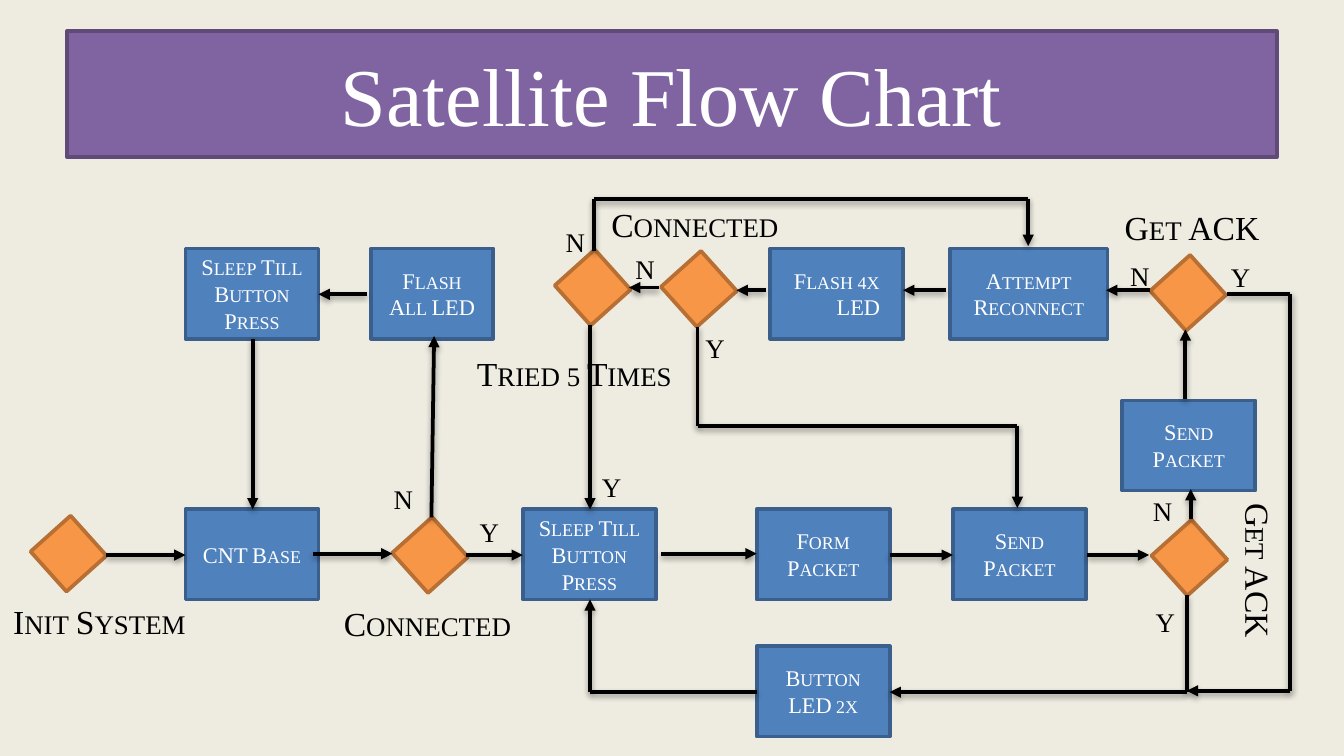
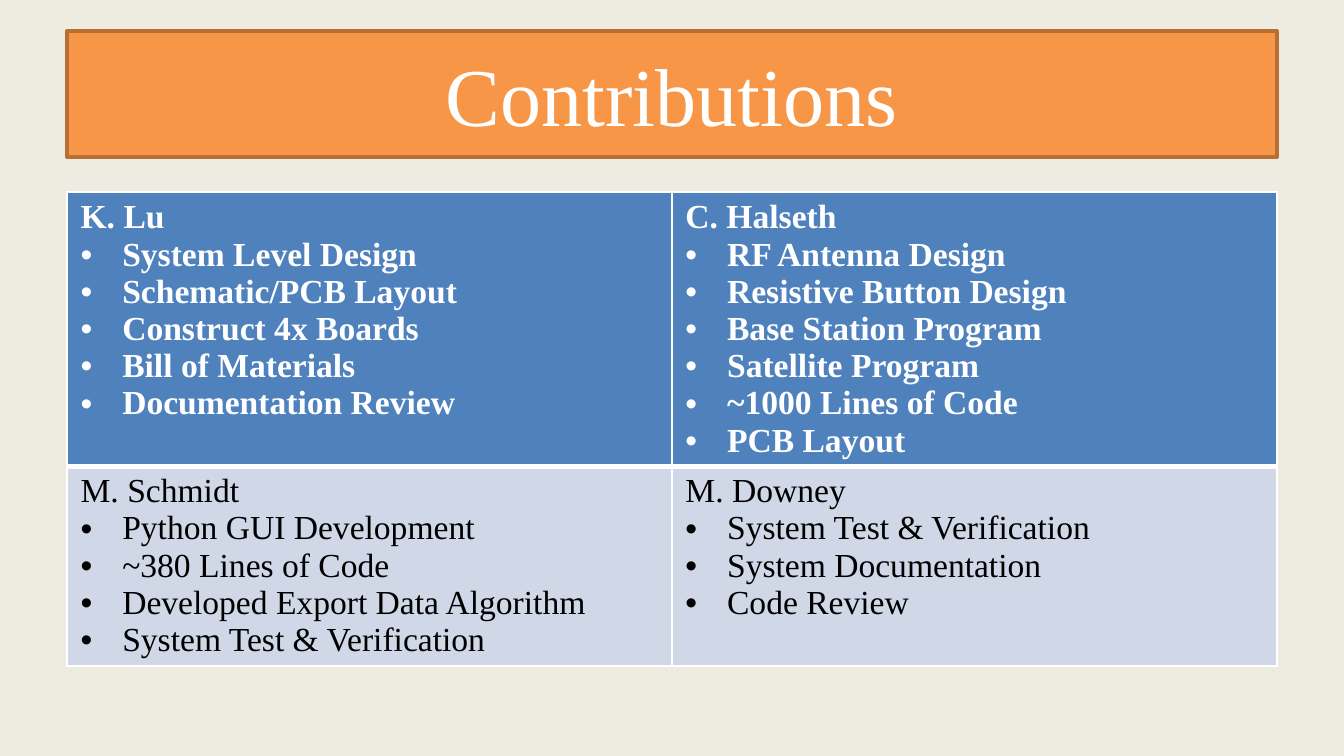
"""Build the satellite flow chart and contributions slides."""
from dataclasses import dataclass
from itertools import pairwise

from pptx import Presentation
from pptx.dml.color import RGBColor as RGB
from pptx.enum.shapes import MSO_CONNECTOR as CONN, MSO_SHAPE as SHAPE
from pptx.enum.text import MSO_ANCHOR as ANCHOR, MSO_AUTO_SIZE as AUTO, PP_ALIGN as ALIGN
from pptx.oxml import parse_xml
from pptx.oxml.ns import nsdecls
from pptx.util import Emu, Pt

PX = 9144


def px(n):
    """Turn px (100 to the inch) into EMU."""
    return Emu(n * PX)


@dataclass(frozen=True)
class Theme:
    """Colours, font and sizes shared by the slides."""
    font: str = "Times New Roman"
    bg: str = "EEECE1"
    ink: str = "000000"
    white: str = "FFFFFF"
    pale: str = "D0D8E8"
    blue: tuple = ("4F81BD", "3A5F8C")
    orange: tuple = ("F79646", "B76F34")
    purple: tuple = ("8064A2", "5F4A78")
    title_pt: int = 44
    body_pt: int = 18
    box_pt: int = 12
    line_pt: int = 2


class Deck:
    """Holds the theme and the current slide, and draws each kind of element."""

    def __init__(self, theme):
        """Start an empty 16:9 presentation."""
        self.theme = theme
        self.prs = Presentation()
        self.prs.slide_width = px(1000)
        self.prs.slide_height = px(1000) * 9 // 16
        fill = self.prs.slide_master.background.fill
        fill.solid()
        fill.fore_color.rgb = RGB.from_string(theme.bg)

    def paint(self, sp, colours):
        """Give a shape its fill and outline colours."""
        fill, line = map(RGB.from_string, colours)
        sp.fill.solid()
        sp.fill.fore_color.rgb = fill
        sp.line.color.rgb = line
        sp.line.width = Pt(self.theme.line_pt)

    def style(self, tf, size, colour, align=ALIGN.LEFT, bold=False, small=False):
        """Format every paragraph and run of a text frame."""
        for p in tf.paragraphs:
            p.alignment = align
            for r in p.runs:
                r.font.name, r.font.size, r.font.bold = self.theme.font, Pt(size), bold
                r.font.color.rgb = RGB.from_string(colour)
                if small:
                    r.font._element.set("cap", "small")

    def slide(self, title, colours):
        """Add a slide with its title band."""
        self.s = self.prs.slides.add_slide(self.prs.slide_layouts[5])
        sp = self.s.shapes.title
        sp.left, sp.top, sp.width, sp.height = map(px, (50, 23, 900, 94))
        self.paint(sp, colours)
        tf = sp.text_frame
        tf.text = title
        tf.vertical_anchor = ANCHOR.MIDDLE
        self.style(tf, self.theme.title_pt, self.theme.white, ALIGN.CENTER)

    def process(self, x, y, w, h, colours):
        """Add a flow chart process shape."""
        sp = self.s.shapes.add_shape(SHAPE.FLOWCHART_PROCESS, *map(px, (x, y, w, h)))
        sp.shadow.inherit = False
        self.paint(sp, colours)
        return sp

    def box(self, text, x, y, w=99):
        """Add a blue step with small-caps text."""
        tf = self.process(x, y, w, 67, self.theme.blue).text_frame
        tf.text = text
        tf.word_wrap = True
        tf.vertical_anchor = ANCHOR.MIDDLE
        self.style(tf, self.theme.box_pt, self.theme.white, ALIGN.CENTER, small=True)

    def decision(self, x, y):
        """Add an orange decision, a turned square."""
        self.process(x, y, 40, 40, self.theme.orange).rotation = 48.1

    def label(self, text, x, y, w, rotation=0):
        """Add an unwrapped small-caps label."""
        sp = self.s.shapes.add_textbox(*map(px, (x, y, w, 40)))
        sp.rotation = rotation
        tf = sp.text_frame
        tf.text = text
        tf.word_wrap = False
        tf.auto_size = AUTO.SHAPE_TO_FIT_TEXT
        self.style(tf, self.theme.body_pt, self.theme.ink, small=True)

    def route(self, *points):
        """Join points with straight connectors, with an arrowhead on the last."""
        for start, end in pairwise(points):
            cn = self.s.shapes.add_connector(CONN.STRAIGHT, *map(px, start + end))
            cn.line.color.rgb = RGB.from_string(self.theme.ink)
            cn.line.width = Pt(self.theme.line_pt)
            cn._element.spPr.append(parse_xml(
                f'<a:effectLst {nsdecls("a")}><a:outerShdw blurRad="40000" dist="20000" '
                f'dir="5400000" rotWithShape="0"><a:srgbClr val="{self.theme.ink}">'
                '<a:alpha val="38000"/></a:srgbClr></a:outerShdw></a:effectLst>'))
        cn.line._get_or_add_ln().append(
            parse_xml(f'<a:tailEnd {nsdecls("a")} type="triangle"/>'))

    def borders(self, cell, **widths):
        """Set white cell borders, with widths in points by side."""
        for side in "LRTB":
            cell._tc.get_or_add_tcPr().append(parse_xml(
                f'<a:ln{side} {nsdecls("a")} w="{Pt(widths.get(side, 1))}"><a:solidFill>'
                f'<a:srgbClr val="{self.theme.white}"/></a:solidFill></a:ln{side}>'))

    def bullet(self, p):
        """Give a paragraph a hanging bullet."""
        pPr = p._p.get_or_add_pPr()
        pPr.set("marL", str(px(31)))
        pPr.set("indent", str(-px(31)))
        pPr.append(parse_xml(f'<a:buFont {nsdecls("a")} typeface="Arial"/>'))
        pPr.append(parse_xml(f'<a:buChar {nsdecls("a")} char="•"/>'))

    def table(self, rows, x, y, w, heights):
        """Add a table whose cells hold a name and a bulleted list."""
        t = self.theme
        frame = self.s.shapes.add_table(
            len(rows), len(rows[0]), *map(px, (x, y, w, sum(heights))))
        tbl = frame.table
        tbl.horz_banding = False
        for i, row in enumerate(rows):
            tbl.rows[i].height = px(heights[i])
            head = i == 0
            for j, (name, *tasks) in enumerate(row):
                cell = tbl.cell(i, j)
                self.borders(cell, **({"B": 3} if head else {"T": 3}))
                cell.fill.solid()
                cell.fill.fore_color.rgb = RGB.from_string(t.blue[0] if head else t.pale)
                tf = cell.text_frame
                tf.text = "\n".join([name, *tasks])
                self.style(tf, t.body_pt, t.white if head else t.ink, bold=head)
                for p in tf.paragraphs[1:]:
                    self.bullet(p)


TOP, MAIN = 185, 379
BOXES = [
    ("Flash 4x LED", 573, TOP),
    ("Sleep Till Button Press", 389, MAIN),
    ("Flash All LED", 276, TOP, 91),
    ("Sleep Till Button Press", 138, TOP),
    ("Form Packet", 563, MAIN),
    ("CNT Base", 138, MAIN),
    ("Send Packet", 709, MAIN),
    ("Button LED 2x", 563, 481),
    ("Attempt Reconnect", 707, TOP, 117),
    ("Send Packet", 835, 298),
]
DECISIONS = [(31, 392), (865, 395), (300, 393), (421, 194), (864, 198), (500, 195)]
ROUTES = [
    [(79, 413), (138, 413)],
    [(188, 252), (188, 379)],
    [(233, 412), (292, 412)],
    [(347, 413), (389, 413)],
    [(492, 412), (563, 412)],
    [(662, 413), (709, 413)],
    [(809, 413), (855, 413)],
    [(321, 385), (323, 250)],
    [(273, 219), (237, 219)],
    [(439, 242), (439, 379)],
    [(563, 515), (439, 515), (439, 446)],
    [(883, 443), (883, 515), (662, 515)],
    [(886, 386), (886, 364)],
    [(882, 297), (882, 245)],
    [(519, 243), (519, 317), (757, 317), (757, 378)],
    [(856, 216), (823, 216)],
    [(704, 216), (672, 216)],
    [(913, 219), (960, 219), (960, 514), (883, 514)],
    [(570, 216), (548, 216)],
    [(490, 214), (468, 214)],
    [(442, 187), (442, 148), (765, 148), (765, 183)],
]
LABELS = [
    ("Init System", 0, 442, 148),
    ("Connected", 246, 444, 151),
    ("Get ACK", 875, 406, 123, 90),
    ("Connected", 445, 147, 151),
    ("Get ACK", 827, 149, 123),
    ("Tried 5 Times", 345, 258, 172),
]
YES = [(347, 374), (515, 237), (438, 340), (906, 184), (850, 441)]
NO = [(283, 349), (463, 178), (411, 158), (831, 183), (848, 358)]
CONTRIBUTIONS = [
    [
        ("K. Lu", "System Level Design", "Schematic/PCB Layout", "Construct 4x Boards",
         "Bill of Materials", "Documentation Review"),
        ("C. Halseth", "RF Antenna Design", "Resistive Button Design",
         "Base Station Program", "Satellite Program", "~1000 Lines of Code", "PCB Layout"),
    ],
    [
        ("M. Schmidt", "Python GUI Development", "~380 Lines of Code",
         "Developed Export Data Algorithm", "System Test & Verification"),
        ("M. Downey", "System Test & Verification", "System Documentation", "Code Review"),
    ],
]


def flow_chart(deck):
    """Build the flow chart slide."""
    deck.slide("Satellite Flow Chart", deck.theme.purple)
    for box in BOXES:
        deck.box(*box)
    for spot in DECISIONS:
        deck.decision(*spot)
    for points in ROUTES:
        deck.route(*points)
    for label in LABELS:
        deck.label(*label)
    for text, spots, w in (("y", YES, 34), ("n", NO, 36)):
        for x, y in spots:
            deck.label(text, x, y, w)


def contributions(deck):
    """Build the contributions slide."""
    deck.slide("Contributions", deck.theme.orange)
    deck.table(CONTRIBUTIONS, 50, 143, 900, (203, 149))


def main():
    """Build and save the deck."""
    deck = Deck(Theme())
    flow_chart(deck)
    contributions(deck)
    deck.prs.save("out.pptx")


if __name__ == "__main__":
    main()
